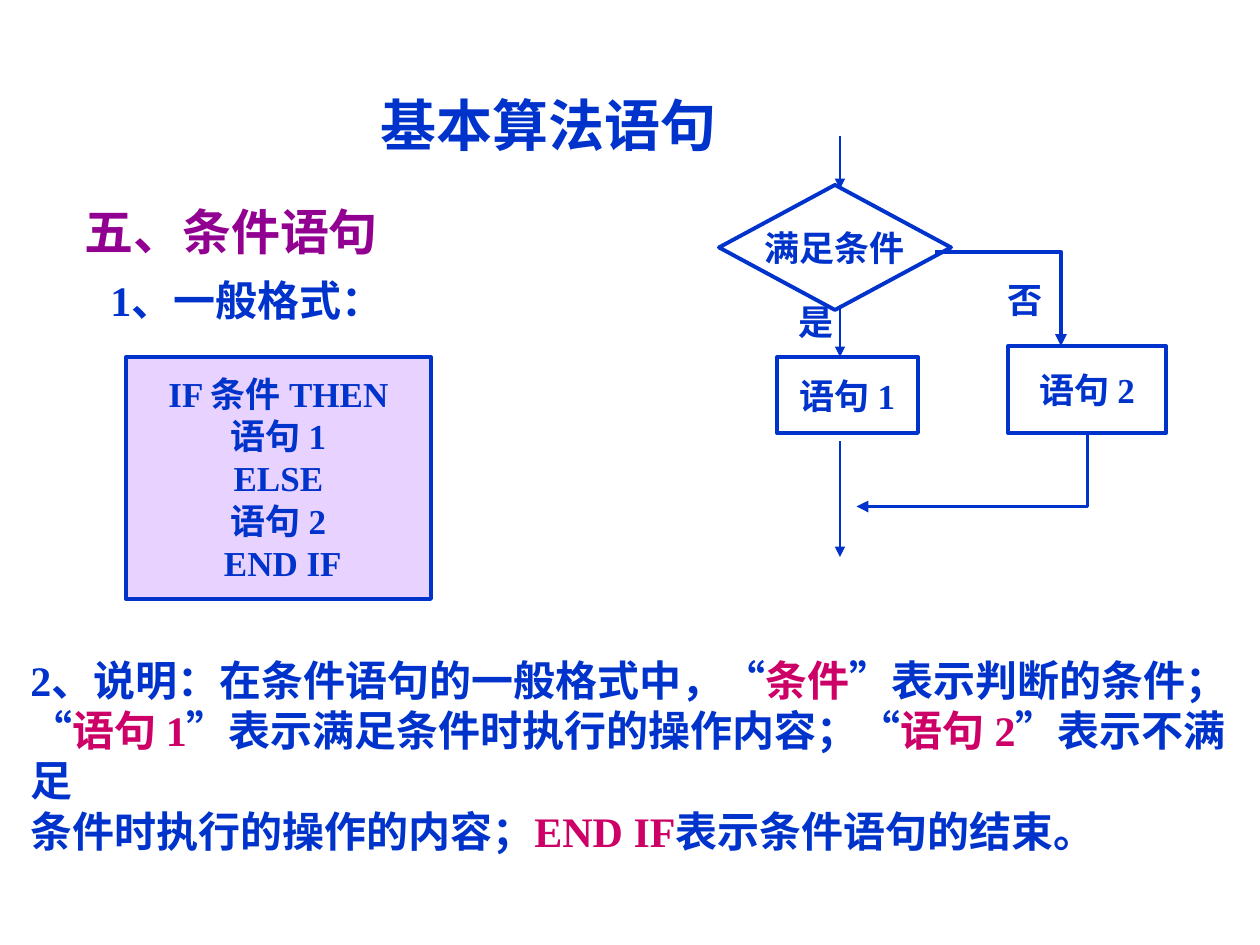
from lxml import etree
from pptx import Presentation
from pptx.dml.color import RGBColor
from pptx.enum.shapes import MSO_CONNECTOR, MSO_SHAPE
from pptx.enum.text import MSO_ANCHOR, MSO_AUTO_SIZE, PP_ALIGN
from pptx.oxml.ns import qn
from pptx.util import Emu, Inches, Pt

STRAIGHT, ELBOW = MSO_CONNECTOR.STRAIGHT, MSO_CONNECTOR.ELBOW
PROCESS, DECISION = MSO_SHAPE.FLOWCHART_PROCESS, MSO_SHAPE.FLOWCHART_DECISION
MIDDLE, CENTER = MSO_ANCHOR.MIDDLE, PP_ALIGN.CENTER
FIT_SHAPE = MSO_AUTO_SIZE.SHAPE_TO_FIT_TEXT

PX_PER_INCH = 126
FONT = "Times New Roman"
THIN, THICK = 0.75, 2.25
COLORS = {
    "blue": "0033CC",
    "purple": "920092",
    "pink": "CC0066",
    "lilac": "D3A7FF",
    "white": "FFFFFF",
}


def px(length):
    return Emu(round(length * Inches(1) / PX_PER_INCH))


def rgb(name):
    return RGBColor.from_string(COLORS[name])


class FlowSlide:
    def __init__(self, slide):
        self.shapes = slide.shapes

    def set_lines(self, frame, lines, size, color="blue", align=None):
        for index, line in enumerate(lines):
            paragraph = frame.paragraphs[0] if index == 0 else frame.add_paragraph()
            paragraph.alignment = align
            paragraph.font.name = FONT
            paragraph.font.size = Pt(size)
            paragraph.font.bold = True
            paragraph.font.color.rgb = rgb(color)
            for position, part in enumerate(line.split("|")):
                run = paragraph.add_run()
                run.text = part
                if position % 2:
                    run.font.color.rgb = rgb("pink")

    def text(self, box, lines, size, color="blue", wrap=False):
        frame = self.shapes.add_textbox(*map(px, box)).text_frame
        frame.word_wrap = wrap
        frame.auto_size = FIT_SHAPE
        self.set_lines(frame, lines, size, color)

    def node(self, kind, box, lines, fill="white", opacity=100):
        node = self.shapes.add_shape(kind, *map(px, box))
        node.shadow.inherit = False
        node.fill.solid()
        node.fill.fore_color.rgb = rgb(fill)
        if opacity < 100:
            tint = node._element.spPr.find(qn("a:solidFill")).find(qn("a:srgbClr"))
            etree.SubElement(tint, qn("a:alpha"), val=str(opacity * 1000))
        node.line.color.rgb = rgb("blue")
        node.line.width = Pt(THICK)
        node.text_frame.word_wrap = False
        node.text_frame.vertical_anchor = MIDDLE
        self.set_lines(node.text_frame, lines, 20, align=CENTER)

    def arrow(self, start, end, kind=STRAIGHT, weight=THIN):
        arrow = self.shapes.add_connector(kind, *map(px, start + end))
        arrow.line.color.rgb = rgb("blue")
        arrow.line.width = Pt(weight)
        properties = arrow._element.spPr
        etree.SubElement(properties.find(qn("a:ln")), qn("a:tailEnd"), type="triangle")
        etree.SubElement(properties, qn("a:effectLst"))
        return properties

    def elbow(self, start, end, preset, bend=None, quarter_turns=0):
        properties = self.arrow(start, end, ELBOW, THICK)
        geometry = properties.find(qn("a:prstGeom"))
        geometry.set("prst", preset)
        if bend is not None:
            guides = geometry.find(qn("a:avLst"))
            etree.SubElement(guides, qn("a:gd"), name="adj1", fmla=f"val {bend * 1000}")
        if quarter_turns:
            properties.find(qn("a:xfrm")).set("rot", str(quarter_turns * 5400000))


def main():
    deck = Presentation()
    deck.slide_width, deck.slide_height = Inches(10), Inches(7.5)
    page = FlowSlide(deck.slides.add_slide(deck.slide_layouts[6]))

    page.text((368, 84, 411, 81), ["基本算法语句"], 32, wrap=True)
    page.text((72, 195, 381, 72), ["五、条件语句"], 28, "purple", wrap=True)
    page.text((98, 268, 307, 63), ["1、一般格式："], 24)

    syntax = ["IF 条件 THEN", "语句 1", "ELSE", "语句 2", " END IF"]
    page.node(PROCESS, (126, 357, 305, 242), syntax, "lilac", 50)

    explanation = [
        "2、说明：在条件语句的一般格式中，“|条件|”表示判断的条件；",
        "“|语句 1|”表示满足条件时执行的操作内容；“|语句 2|”表示不满足",
        "条件时执行的操作的内容；|END IF|表示条件语句的结束。",
    ]
    page.text((18, 648, 1256, 214), explanation, 24)

    flow_x = 840
    page.arrow((flow_x, 136), (flow_x, 189))
    page.node(DECISION, (719, 185, 232, 125), ["满足条件"])
    page.arrow((flow_x, 305), (flow_x, 357))
    page.node(PROCESS, (777, 357, 141, 76), ["语句 1"])
    page.elbow((935, 252), (1061, 346), "bentConnector3", bend=100)
    page.node(PROCESS, (1008, 346, 158, 87), ["语句 2"])
    page.elbow((936, 355), (1008, 586), "bentConnector2", quarter_turns=1)
    page.arrow((flow_x, 441), (flow_x, 557))
    page.text((786, 294, 60, 55), ["是"], 20)
    page.text((995, 272, 60, 55), ["否"], 20)

    deck.save("out.pptx")


if __name__ == "__main__":
    main()
